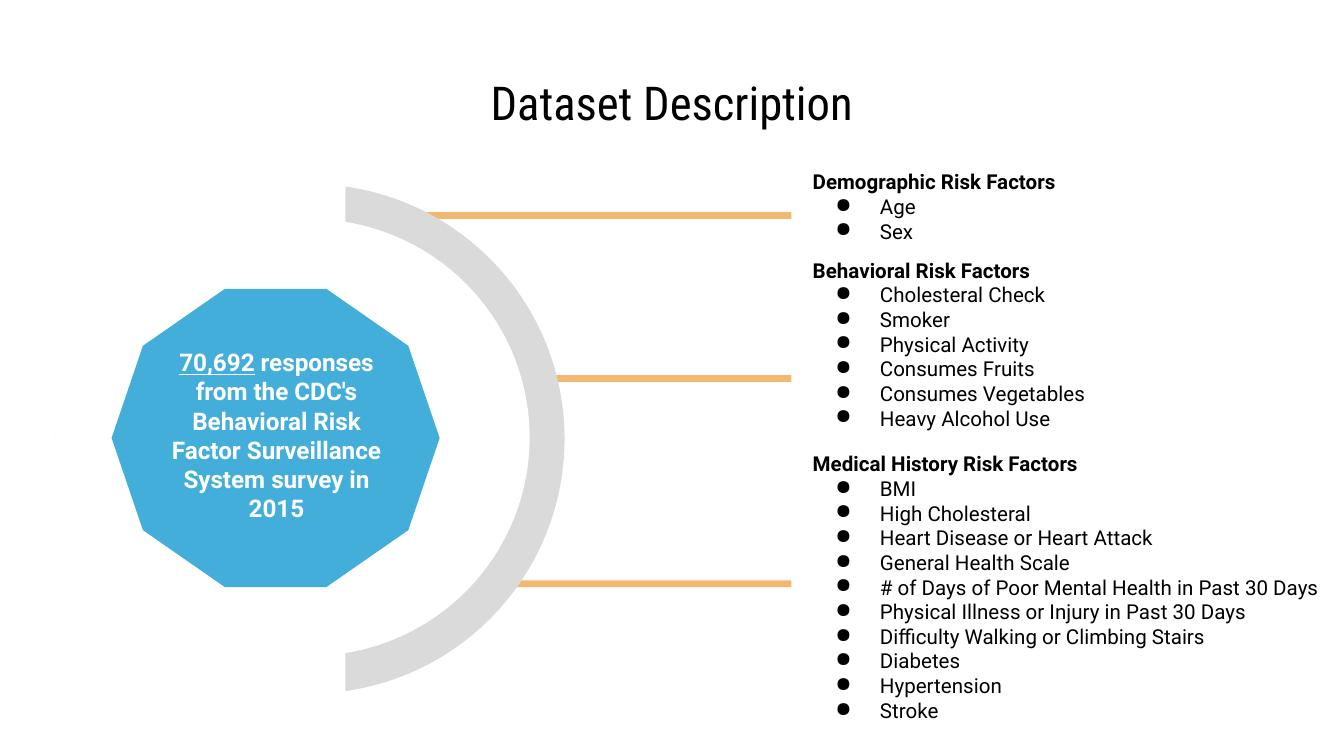
from lxml import etree
from pptx import Presentation, util as u
from pptx.dml.color import RGBColor
from pptx.enum import shapes, text
from pptx.oxml.ns import qn

TITLE = "Dataset Description"
SURVEY = [
    ("70,692", True),
    (" responses from the CDC's Behavioral Risk Factor Surveillance System survey in 2015", False),
]
GROUPS = [
    ("Demographic Risk Factors", ["Age", "Sex"], 2.95, 5.54),
    ("Behavioral Risk Factors",
     ["Cholesteral Check", "Smoker", "Physical Activity", "Consumes Fruits",
      "Consumes Vegetables", "Heavy Alcohol Use"], 4.62, 6.65),
    ("Medical History Risk Factors",
     ["BMI", "High Cholesteral", "Heart Disease or Heart Attack",
      "General Health Scale", "# of Days of Poor Mental Health in Past 30 Days",
      "Physical Illness or Injury in Past 30 Days",
      "Difficulty Walking or Climbing Stairs", "Diabetes", "Hypertension",
      "Stroke"], 8.28, 10.13),
]
BARS = [(8.46, 10.97), (9.86, 7.09), (7.44, 4.01)]
BAR_RIGHT, BAR_HEIGHT = 14.96, 0.13
GROUP_LEFT, LINE_HEIGHT, INSET = 15.11, 0.47, 0.25
KIND = shapes.MSO_SHAPE
ARC = [
    (KIND.OVAL, (1.04, 3.48, 9.63, 9.63), "ring"),
    (KIND.OVAL, (1.7, 4.14, 8.31, 8.26), "paper"),
    (KIND.RECTANGLE, (1.04, 1.37, 5.49, 12.7), "paper"),
    (KIND.DECAGON, (2.11, 5.46, 6.2, 5.64), "badge"),
]
THEME = {
    "color": {"bar": "F2B872", "ring": "DADADA", "paper": "FFFFFF",
              "badge": "43AED9", "ink": "000000"},
    "title": {"name": "Roboto Condensed", "size": u.Pt(25), "bold": False},
    "survey": {"name": "Roboto", "size": u.Pt(13), "bold": True},
    "heading": {"name": "Roboto", "size": u.Pt(11), "bold": True},
    "item": {"name": "Roboto", "size": u.Pt(11), "bold": False},
}


def color(name):
    return RGBColor.from_string(THEME["color"][name])


def cm(box):
    return [u.Cm(v) for v in box]


def add_run(p, words, style, ink="ink", **extra):
    r = p.add_run()
    r.text = words
    for key, value in {**THEME[style], **extra}.items():
        setattr(r.font, key, value)
    r.font.color.rgb = color(ink)


def setup_frame(tf, anchor=text.MSO_ANCHOR.TOP):
    fmt = {"word_wrap": True, "auto_size": text.MSO_AUTO_SIZE.NONE,
           "vertical_anchor": anchor}
    for side in ("left", "right", "top", "bottom"):
        fmt["margin_" + side] = u.Cm(INSET)
    for key, value in fmt.items():
        setattr(tf, key, value)
    return tf


def add_shape(s, kind, box, fill):
    sp = s.shapes.add_shape(kind, *cm(box))
    sp.shadow.inherit = False
    sp.fill.solid()
    sp.fill.fore_color.rgb = color(fill)
    sp.line.fill.background()


def add_bullet(p):
    pPr = p._p.get_or_add_pPr()
    pPr.set("marL", str(u.Cm(1.27)))
    pPr.set("indent", str(u.Cm(-0.84)))
    clr = etree.SubElement(pPr, qn("a:buClr"))
    etree.SubElement(clr, qn("a:srgbClr"), val=THEME["color"]["ink"])
    etree.SubElement(pPr, qn("a:buChar"), char="●")


def add_title(s):
    sp = s.shapes.title
    sp.left, sp.top, sp.width, sp.height = cm((0.86, 1.12, 23.67, 1.6))
    p = setup_frame(sp.text_frame, text.MSO_ANCHOR.MIDDLE).paragraphs[0]
    p.alignment = text.PP_ALIGN.CENTER
    add_run(p, TITLE, "title")


def add_group(s, heading, items, top, width):
    height = 2 * INSET + LINE_HEIGHT * (len(items) + 1)
    tf = setup_frame(s.shapes.add_textbox(*cm((GROUP_LEFT, top, width, height))).text_frame)
    add_run(tf.paragraphs[0], heading, "heading")
    for item in items:
        p = tf.add_paragraph()
        add_bullet(p)
        add_run(p, item, "item")


def add_survey(s):
    tf = setup_frame(s.shapes.add_textbox(*cm((3, 6.32, 4.45, 4.39))).text_frame)
    p = tf.paragraphs[0]
    p.alignment = text.PP_ALIGN.CENTER
    for words, underline in SURVEY:
        add_run(p, words, "survey", "paper", underline=underline)


def main():
    prs = Presentation()
    prs.slide_width, prs.slide_height = cm((25.4, 14.29))
    s = prs.slides.add_slide(prs.slide_layouts[5])
    add_title(s)
    for left, top in BARS:
        add_shape(s, KIND.RECTANGLE, (left, top, BAR_RIGHT - left, BAR_HEIGHT), "bar")
    for kind, box, fill in ARC:
        add_shape(s, kind, box, fill)
    for group in GROUPS:
        add_group(s, *group)
    add_survey(s)
    prs.save("out.pptx")


if __name__ == "__main__":
    main()
